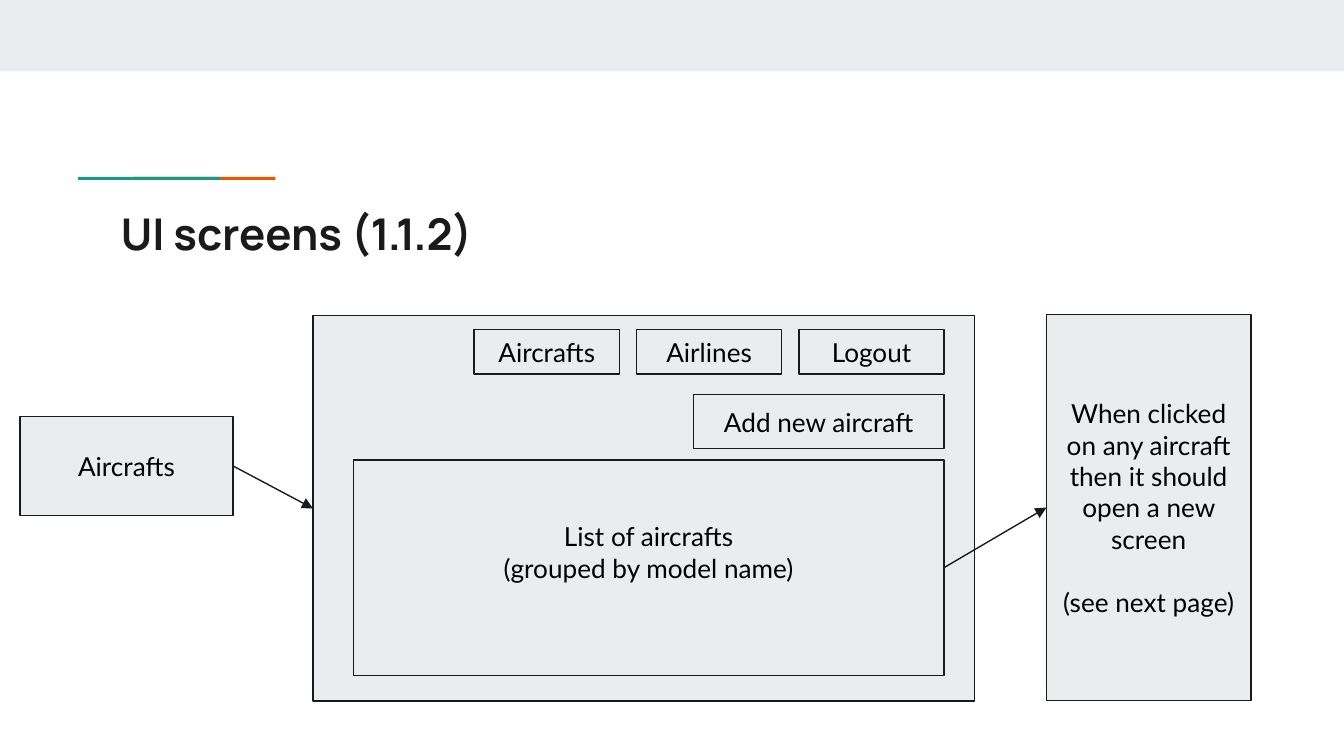
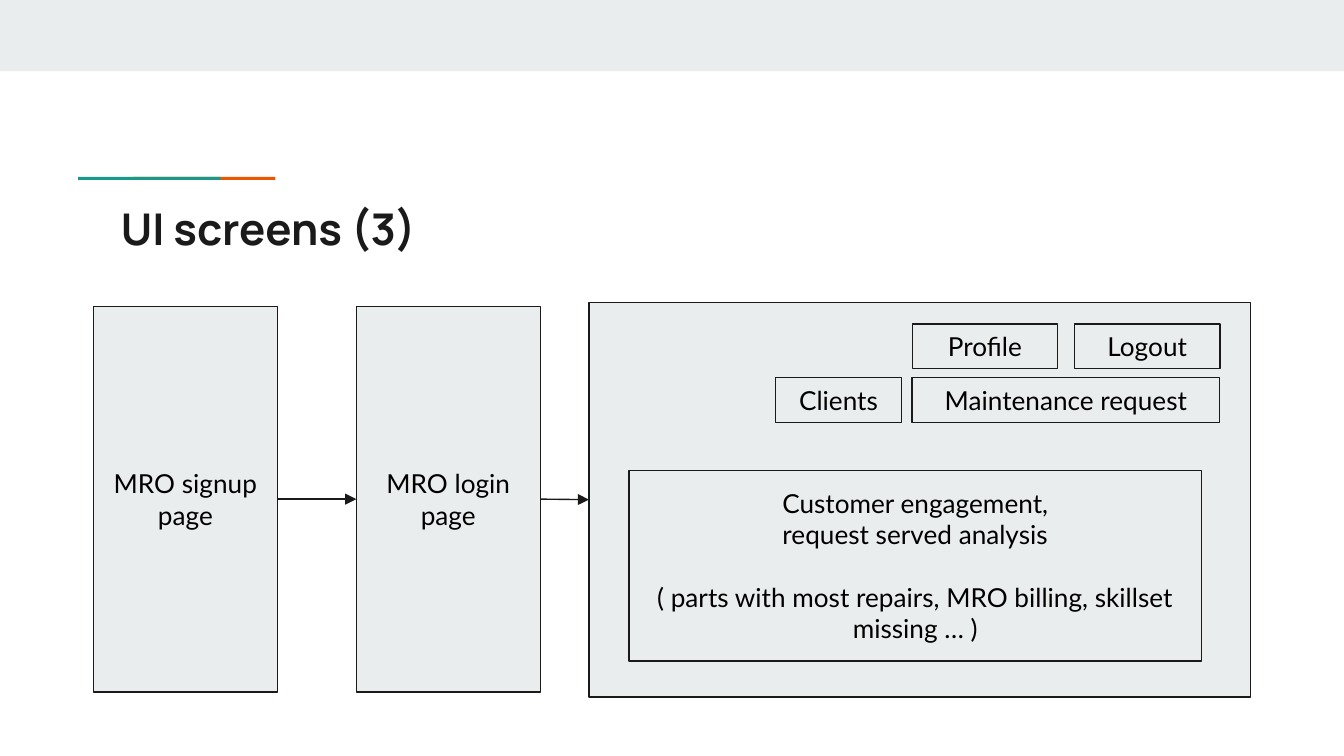
from lxml import etree
from pptx import Presentation
from pptx.dml.color import RGBColor
from pptx.enum.shapes import MSO_CONNECTOR, MSO_SHAPE
from pptx.enum.text import MSO_ANCHOR, PP_ALIGN
from pptx.oxml.ns import qn
from pptx.util import Pt

RECTANGLE = MSO_SHAPE.RECTANGLE
STRAIGHT = MSO_CONNECTOR.STRAIGHT
TOP, MIDDLE = MSO_ANCHOR.TOP, MSO_ANCHOR.MIDDLE
LEFT, CENTER = PP_ALIGN.LEFT, PP_ALIGN.CENTER
LEFT_SITE, RIGHT_SITE = 1, 3

COLORS = {"panel": "E9EDEE", "ink": "1A1A1A", "text": "000000",
          "teal": "1A9988", "orange": "EB5600"}
TITLE_FONT, BODY_FONT = "Manrope", "Lato"
TITLE_SIZE, BODY_SIZE = 23.4, 14
TEXT_LINE = 16.8
INSET = 7.2
OUTLINE = 0.75

PAGE_WIDTH, PAGE_HEIGHT = 720, 405
BUTTON_WIDTH, BUTTON_HEIGHT = 77.8, 23.9
BUTTON_STEP = 87
SCREEN_WIDTH, COLUMN_HEIGHT = 354.3, 206.6


def color(name):
    return RGBColor.from_string(COLORS[name])


def set_frame(frame, anchor, bottom=INSET):
    frame.word_wrap = True
    frame.vertical_anchor = anchor
    frame.margin_left = frame.margin_right = frame.margin_top = Pt(INSET)
    frame.margin_bottom = Pt(bottom)


def style_paragraph(paragraph, font_name, size, color_name, align, bold=False):
    paragraph.alignment = align
    font = paragraph.font
    font.name, font.size, font.bold = font_name, Pt(size), bold
    font.color.rgb = color(color_name)


def add_rectangle(page, left, top, width, height, fill):
    shape = page.shapes.add_shape(RECTANGLE, Pt(left), Pt(top), Pt(width), Pt(height))
    shape.shadow.inherit = False
    shape.fill.solid()
    shape.fill.fore_color.rgb = color(fill)
    shape.line.fill.background()
    return shape


def add_box(page, left, top, width, height, lines=(), gap_before=None, bottom=INSET):
    """Outlined box; the line numbered gap_before stands one line lower."""
    box = add_rectangle(page, left, top, width, height, "panel")
    box.line.color.rgb = color("ink")
    box.line.width = Pt(OUTLINE)
    frame = box.text_frame
    set_frame(frame, MIDDLE, bottom)
    for index, line in enumerate(lines):
        paragraph = frame.add_paragraph() if index else frame.paragraphs[0]
        paragraph.text = line
        style_paragraph(paragraph, BODY_FONT, BODY_SIZE, "text", CENTER)
        if index == gap_before:
            paragraph.space_before = Pt(TEXT_LINE)
    return box


def add_buttons(page, left, top, labels):
    for index, label in enumerate(labels):
        add_box(page, left + index * BUTTON_STEP, top, BUTTON_WIDTH, BUTTON_HEIGHT, [label])


def add_arrow(page, source, target):
    arrow = page.shapes.add_connector(STRAIGHT, 0, 0, 0, 0)
    arrow.begin_connect(source, RIGHT_SITE)
    arrow.end_connect(target, LEFT_SITE)
    arrow.line.color.rgb = color("ink")
    arrow.line.width = Pt(OUTLINE)
    line = arrow.line._get_or_add_ln()
    etree.SubElement(line, qn("a:tailEnd"), type="triangle")
    etree.SubElement(arrow._element.spPr, qn("a:effectLst"))


def add_page(deck, title_text, title_top):
    page = deck.slides.add_slide(deck.slide_layouts[5])

    # Top band and two-colour rule; teal overlaps orange
    add_rectangle(page, 0, 0, PAGE_WIDTH, 38.2, "panel")
    for left, fill in ((71.2, "orange"), (41.8, "teal")):
        add_rectangle(page, left, 94.8, 76.4, 1.6, fill)

    # Title
    title = page.shapes.title
    title.left, title.top = Pt(57.6), Pt(title_top)
    title.width, title.height = Pt(605.5), Pt(42.5)
    title.text_frame.text = title_text
    set_frame(title.text_frame, TOP)
    style_paragraph(title.text_frame.paragraphs[0], TITLE_FONT, TITLE_SIZE, "ink", LEFT, True)
    return page


def build_aircraft_page(deck):
    page = add_page(deck, "UI screens (1.1.2)", 103.7)

    # Aircraft screen
    entry = add_box(page, 10.8, 223, 114, 53.2, ["Aircrafts"])
    screen = add_box(page, 167.7, 169.1, SCREEN_WIDTH, COLUMN_HEIGHT)
    add_buttons(page, 254, 176.5, ["Aircrafts", "Airlines", "Logout"])
    add_box(page, 371.4, 211.5, 134.4, 28.9, ["Add new aircraft"])
    aircraft_list = add_box(page, 189.2, 246.4, 316.6, 115.4,
                            ["List of aircrafts", "(grouped by model name)"],
                            bottom=INSET + TEXT_LINE)

    # Next step
    note = add_box(page, 560.6, 168.6, 109.6, COLUMN_HEIGHT,
                   ["When clicked on any aircraft then it should open a new screen",
                    "(see next page)"], gap_before=1)
    add_arrow(page, entry, screen)
    add_arrow(page, aircraft_list, note)


def build_mro_page(deck):
    page = add_page(deck, "UI screens (3)", 101)

    # Signup and login
    signup, login = [add_box(page, left, 164.1, 98.5, COLUMN_HEIGHT, [label])
                     for left, label in ((50.1, "MRO signup page"), (190.9, "MRO login page"))]

    # Dashboard screen
    dashboard = add_box(page, 315.5, 162, SCREEN_WIDTH, 211.4)
    add_buttons(page, 488.7, 173.6, ["Profile", "Logout"])
    add_box(page, 415.4, 202.4, 67.7, BUTTON_HEIGHT, ["Clients"])
    add_box(page, 488.7, 202.4, BUTTON_STEP + BUTTON_WIDTH, BUTTON_HEIGHT,
            ["Maintenance request"])
    add_box(page, 337, 252, 306.7, 102.2,
            ["Customer engagement,", "request served analysis",
             "( parts with most repairs, MRO billing, skillset missing … )"], gap_before=2)
    add_arrow(page, signup, login)
    add_arrow(page, login, dashboard)


def main():
    deck = Presentation()
    deck.slide_width, deck.slide_height = Pt(PAGE_WIDTH), Pt(PAGE_HEIGHT)
    build_aircraft_page(deck)
    build_mro_page(deck)
    deck.save("out.pptx")


if __name__ == "__main__":
    main()
